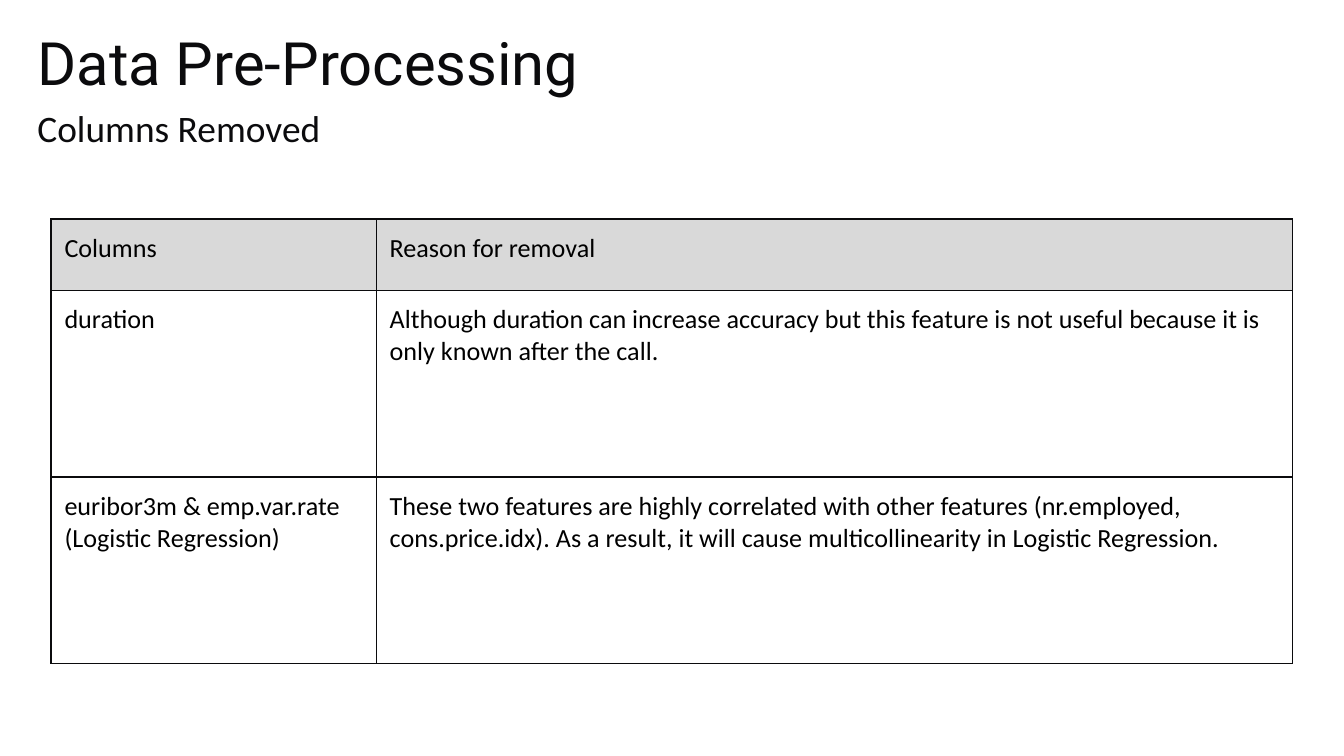
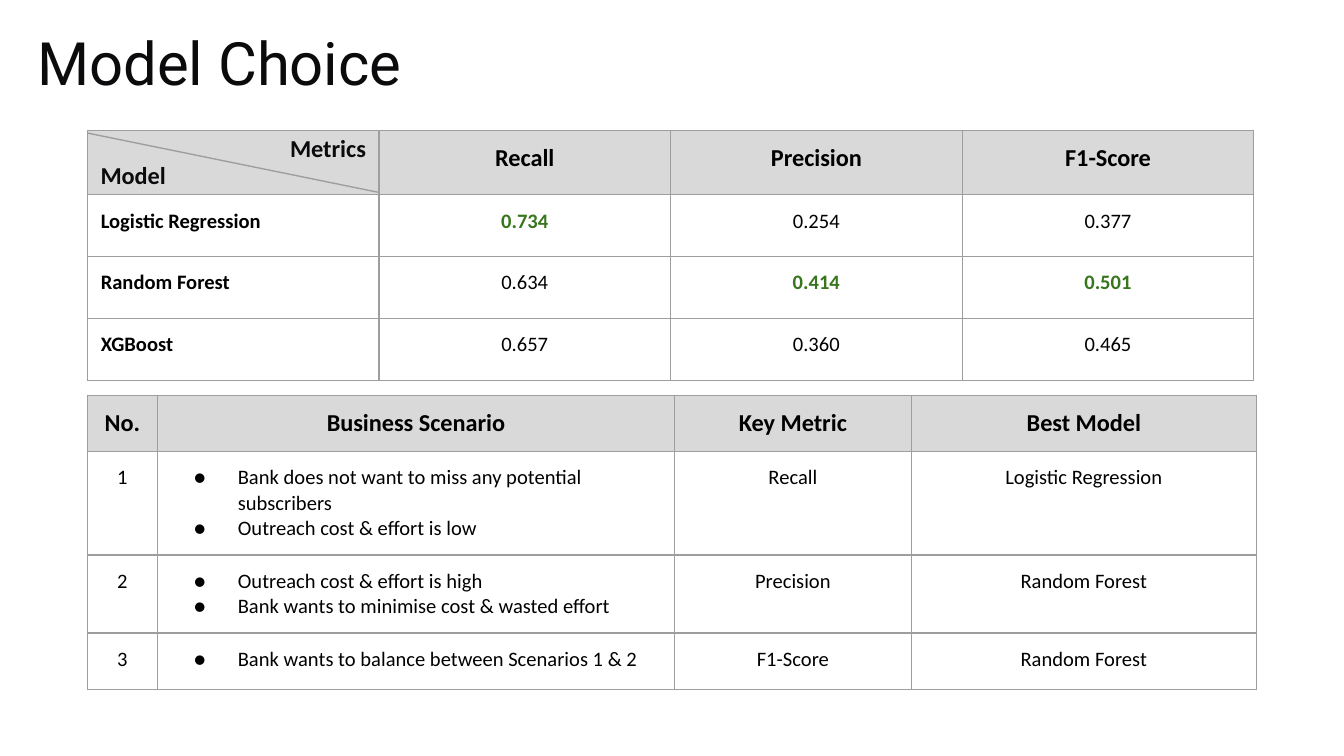
from dataclasses import dataclass

from lxml.etree import SubElement
from pptx import Presentation
from pptx.dml.color import RGBColor
from pptx.enum.shapes import MSO_CONNECTOR
from pptx.enum.text import MSO_ANCHOR, PP_ALIGN
from pptx.oxml.ns import qn
from pptx.util import Inches, Pt

LEFT, CENTER = PP_ALIGN.LEFT, PP_ALIGN.CENTER


@dataclass(frozen=True)
class Theme:
    ink: str = "0B0B0D"
    text: str = "000000"
    header: str = "D9D9D9"
    grid: str = "9E9E9E"
    best: str = "38761D"
    title_font: str = "Roboto"
    body_font: str = "Calibri"
    title: int = 32
    subtitle: int = 20
    reason: int = 14
    heading: int = 13
    body: int = 11
    line: float = 0.75
    margin: float = 0.1


class Deck:
    def __init__(self, theme):
        self.theme = theme
        self.prs = Presentation()
        self.prs.slide_width = Inches(10)
        self.prs.slide_height = Inches(10) * 9 // 16
        self.s = None

    def slide(self, title):
        t = self.theme
        self.s = self.prs.slides.add_slide(self.prs.slide_layouts[6])
        self.text(title, 0.18, 0.09, 8.43, 0.65, size=t.title, name=t.title_font)

    def frame(self, box):
        """Give a text frame or a table cell the common margins."""
        for side in ("left", "right", "top", "bottom"):
            setattr(box, f"margin_{side}", Inches(self.theme.margin))

    def run(self, p, text, color, size, **fmt):
        r = p.add_run()
        r.text = text
        fmt = {"name": self.theme.body_font, "bold": False, "size": Pt(size)} | fmt
        for key, value in fmt.items():
            setattr(r.font, key, value)
        r.font.color.rgb = RGBColor.from_string(color)

    def text(self, text, x, y, w, h, anchor=MSO_ANCHOR.TOP, **fmt):
        sp = self.s.shapes.add_textbox(Inches(x), Inches(y), Inches(w), Inches(h))
        tf = sp.text_frame
        tf.word_wrap, tf.vertical_anchor = True, anchor
        self.frame(tf)
        self.run(tf.paragraphs[0], text, self.theme.ink, **fmt)

    def line(self, x1, y1, x2, y2):
        c = self.s.shapes.add_connector(
            MSO_CONNECTOR.STRAIGHT, Inches(x1), Inches(y1), Inches(x2), Inches(y2))
        c.line.color.rgb = RGBColor.from_string(self.theme.grid)
        c.line.width = Pt(self.theme.line)
        SubElement(c._element.spPr, qn("a:effectLst"))

    def bullet(self, p):
        pPr = p._p.get_or_add_pPr()
        pPr.set("marL", str(Inches(0.5)))
        pPr.set("indent", str(Inches(-0.33)))
        color = SubElement(pPr, qn("a:buClr"))
        SubElement(color, qn("a:srgbClr"), val=self.theme.text)
        SubElement(pPr, qn("a:buFont"), typeface=self.theme.body_font)
        SubElement(pPr, qn("a:buChar"), char="●")

    def borders(self, cell, color):
        tcPr = cell._tc.get_or_add_tcPr()
        for side in ("lnL", "lnR", "lnT", "lnB"):
            ln = SubElement(tcPr, qn(f"a:{side}"), w=str(Pt(self.theme.line)))
            fill = SubElement(ln, qn("a:solidFill"))
            SubElement(fill, qn("a:srgbClr"), val=color)

    def cell(self, cell, content, grid, is_header, align, color, **fmt):
        """Fill one cell; a list becomes bullets, an empty string stays blank."""
        self.borders(cell, grid)
        if is_header:
            cell.fill.solid()
            cell.fill.fore_color.rgb = RGBColor.from_string(self.theme.header)
        else:
            cell.fill.background()
        if not content:
            cell.margin_top = cell.margin_bottom = 0
            return
        self.frame(cell)
        tf = cell.text_frame
        bulleted = isinstance(content, list)
        for i, line in enumerate(content if bulleted else [content]):
            p = tf.add_paragraph() if i else tf.paragraphs[0]
            if bulleted:
                self.bullet(p)
            else:
                p.alignment = align
            self.run(p, line, color, **fmt)

    def table(self, rows, x, y, widths, heights, grid, style):
        """Draw rows; style(row, column) gives the text format of a cell."""
        shape = self.s.shapes.add_table(
            len(rows), len(widths), Inches(x), Inches(y),
            Inches(sum(widths)), Inches(sum(heights)))
        tbl = shape.table
        tbl.first_row = tbl.horz_banding = False
        for column, width in zip(tbl.columns, widths):
            column.width = Inches(width)
        for row, height in zip(tbl.rows, heights):
            row.height = Inches(height)
        for i, row in enumerate(rows):
            for j, content in enumerate(row):
                fmt = {"align": CENTER, "color": self.theme.text} | style(i, j)
                self.cell(tbl.cell(i, j), content, grid, i == 0, **fmt)


def columns_removed(deck):
    t = deck.theme
    deck.slide("Data Pre-Processing")
    deck.text("Columns Removed", 0.18, 0.68, 2.67, 0.54, size=t.subtitle)
    rows = [
        ("Columns", "Reason for removal"),
        ("duration",
         "Although duration can increase accuracy but this feature is not useful "
         "because it is only known after the call."),
        ("euribor3m & emp.var.rate (Logistic Regression)",
         "These two features are highly correlated with other features (nr.employed, "
         "cons.price.idx). As a result, it will cause multicollinearity in "
         "Logistic Regression."),
    ]
    deck.table(rows, 0.38, 1.63, [2.42, 6.82], [0.53, 1.39, 1.39], t.ink,
               lambda i, j: {"size": t.reason, "align": LEFT})


def model_choice(deck):
    t = deck.theme
    deck.slide("Model Choice")
    scores = [
        ("", "Recall", "Precision", "F1-Score"),
        ("Logistic Regression", "0.734", "0.254", "0.377"),
        ("Random Forest", "0.634", "0.414", "0.501"),
        ("XGBoost", "0.657", "0.360", "0.465"),
    ]
    best = [max(column[1:]) for column in zip(*scores)]

    def score_style(i, j):
        if i == 0:
            return {"size": t.heading, "bold": True}
        if j == 0:
            return {"size": t.body, "bold": True, "align": LEFT}
        if scores[i][j] == best[j]:
            return {"size": t.body, "bold": True, "color": t.best}
        return {"size": t.body}

    deck.table(scores, 0.65, 0.97, [2.17] * 4, [0.48] + [0.46] * 3, t.grid, score_style)
    deck.line(0.65, 0.99, 2.81, 1.43)
    for label, x, y, w in (("Model", 0.65, 1.17, 0.75), ("Metrics", 2.06, 0.97, 0.88)):
        deck.text(label, x, y, w, 0.26, MSO_ANCHOR.MIDDLE, size=t.heading, bold=True)

    scenarios = [
        ("No.", "Business Scenario", "Key Metric", "Best Model"),
        ("1", ["Bank does not want to miss any potential subscribers",
               "Outreach cost & effort is low"], "Recall", "Logistic Regression"),
        ("2", ["Outreach cost & effort is high",
               "Bank wants to minimise cost & wasted effort"],
         "Precision", "Random Forest"),
        ("3", ["Bank wants to balance between Scenarios 1 & 2"],
         "F1-Score", "Random Forest"),
    ]
    deck.table(scenarios, 0.65, 2.94, [0.52, 3.85, 1.76, 2.57],
               [0.42, 0.77, 0.58, 0.42], t.grid,
               lambda i, j: {"size": t.body if i else t.heading, "bold": i == 0})


def main():
    deck = Deck(Theme())
    columns_removed(deck)
    model_choice(deck)
    deck.prs.save("out.pptx")


if __name__ == "__main__":
    main()
